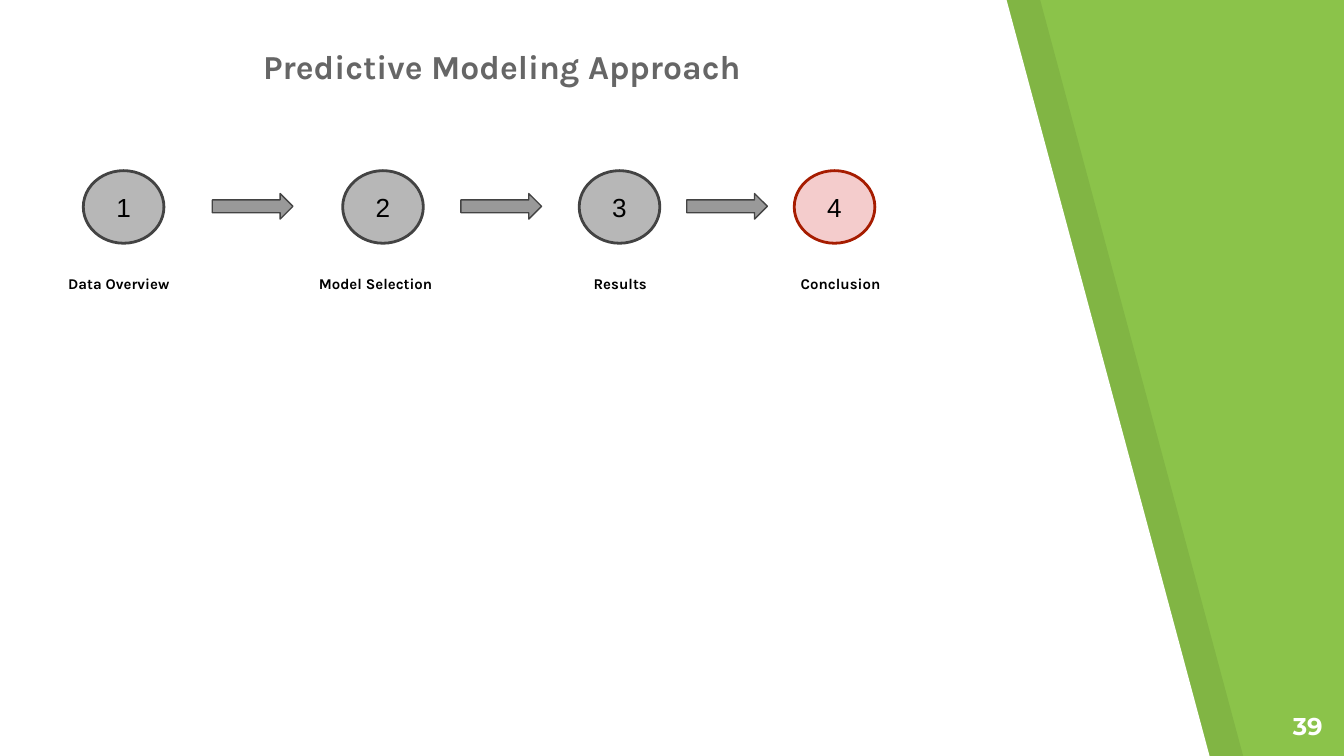
"""Builds the predictive modeling roadmap slide with its four numbered steps."""
from dataclasses import dataclass

from lxml import etree
from pptx import Presentation
from pptx import util as u
from pptx.dml.color import RGBColor
from pptx.enum import shapes, text
from pptx.oxml.ns import qn

PX = 4572
WIDTH, HEIGHT = 2000, 1125
STEPS = [
    ("Data Overview", 124, 72),
    ("Model Selection", 510, 454),
    ("Results", 862, 818),
    ("Conclusion", 1182, 1146),
]
CURRENT = 4
ARROW_LEFTS = [316, 686, 1022]


@dataclass(frozen=True)
class Theme:
    green: str = "8BC34A"
    white: str = "FFFFFF"
    black: str = "000000"
    title: str = "666666"
    step: str = "B7B7B7"
    outline: str = "434343"
    current: str = "F4CCCC"
    current_outline: str = "A61C00"
    arrow: str = "999999"
    heading_font: str = "Karla"
    number_font: str = "Arial"
    page_font: str = "Montserrat"
    title_size: int = 18
    page_size: int = 13
    step_size: int = 14
    label_size: int = 8


THEME = Theme()


def px(*lengths):
    return [u.Emu(length * PX) for length in lengths]


def paint(shape, fill, line=None, weight=0):
    shape.shadow.inherit = False
    shape.fill.solid()
    shape.fill.fore_color.rgb = RGBColor.from_string(fill)
    if line:
        shape.line.color.rgb = RGBColor.from_string(line)
        shape.line.width = u.Pt(weight)
    else:
        shape.line.fill.background()


def write(shape, words, font, size, color, bold=True,
          align=text.PP_ALIGN.CENTER, anchor=text.MSO_ANCHOR.TOP):
    frame = shape.text_frame
    frame.text = words
    frame.word_wrap = True
    frame.auto_size = text.MSO_AUTO_SIZE.NONE
    frame.vertical_anchor = anchor
    frame.margin_left = frame.margin_right = u.Inches(0.1)
    frame.margin_top = frame.margin_bottom = u.Inches(0.1)
    para = frame.paragraphs[0]
    para.alignment = align
    span = para.runs[0]
    span.font.name = font
    span.font.size = u.Pt(size)
    span.font.bold = bold
    span.font.color.rgb = RGBColor.from_string(color)


def add_panel(page, left, color, alpha=None):
    builder = page.shapes.build_freeform(left, 0, PX)
    builder.add_line_segments(
        [(left + 1498, 0), (left + 1800, HEIGHT), (left, HEIGHT)])
    panel = builder.convert_to_shape()
    paint(panel, color)
    if alpha:
        tint = panel.element.spPr.find(qn("a:solidFill"))[0]
        etree.SubElement(tint, qn("a:alpha"), val=str(alpha * 1000))


def add_title(page, words):
    title = page.shapes.title
    title.left, title.top, title.width, title.height = px(198, 48, 1098, 128)
    write(title, words, THEME.heading_font, THEME.title_size, THEME.title)
    title.element.getparent().append(title.element)


def add_page_number(page, number):
    box = page.shapes.add_textbox(*px(1868, 1038, 120, 86))
    write(box, str(number), THEME.page_font, THEME.page_size, THEME.white,
          align=text.PP_ALIGN.RIGHT)


def add_step(page, number, label, left, label_left):
    circle = page.shapes.add_shape(
        shapes.MSO_SHAPE.OVAL, *px(left, 254, 120, 108))
    if number == CURRENT:
        paint(circle, THEME.current, THEME.current_outline, 1.5)
    else:
        paint(circle, THEME.step, THEME.outline, 1.5)
    write(circle, str(number), THEME.number_font, THEME.step_size,
          THEME.black, bold=False, anchor=text.MSO_ANCHOR.MIDDLE)
    box = page.shapes.add_textbox(*px(label_left, 388, 210, 76))
    write(box, label, THEME.heading_font, THEME.label_size, THEME.black)


def add_arrow(page, left):
    arrow = page.shapes.add_shape(
        shapes.MSO_SHAPE.RIGHT_ARROW, *px(left, 288, 120, 38))
    paint(arrow, THEME.arrow, THEME.outline, 0.75)


def main():
    deck = Presentation()
    deck.slide_width, deck.slide_height = px(WIDTH, HEIGHT)
    page = deck.slides.add_slide(deck.slide_layouts.get_by_name("Title Only"))
    page.background.fill.solid()
    page.background.fill.fore_color.rgb = RGBColor.from_string(THEME.green)
    add_panel(page, 50, THEME.black, alpha=7)
    add_panel(page, 0, THEME.white)
    add_page_number(page, 39)
    add_title(page, "Predictive Modeling Approach")
    for number, step in enumerate(STEPS, 1):
        add_step(page, number, *step)
    for left in ARROW_LEFTS:
        add_arrow(page, left)
    deck.save("out.pptx")


if __name__ == "__main__":
    main()
